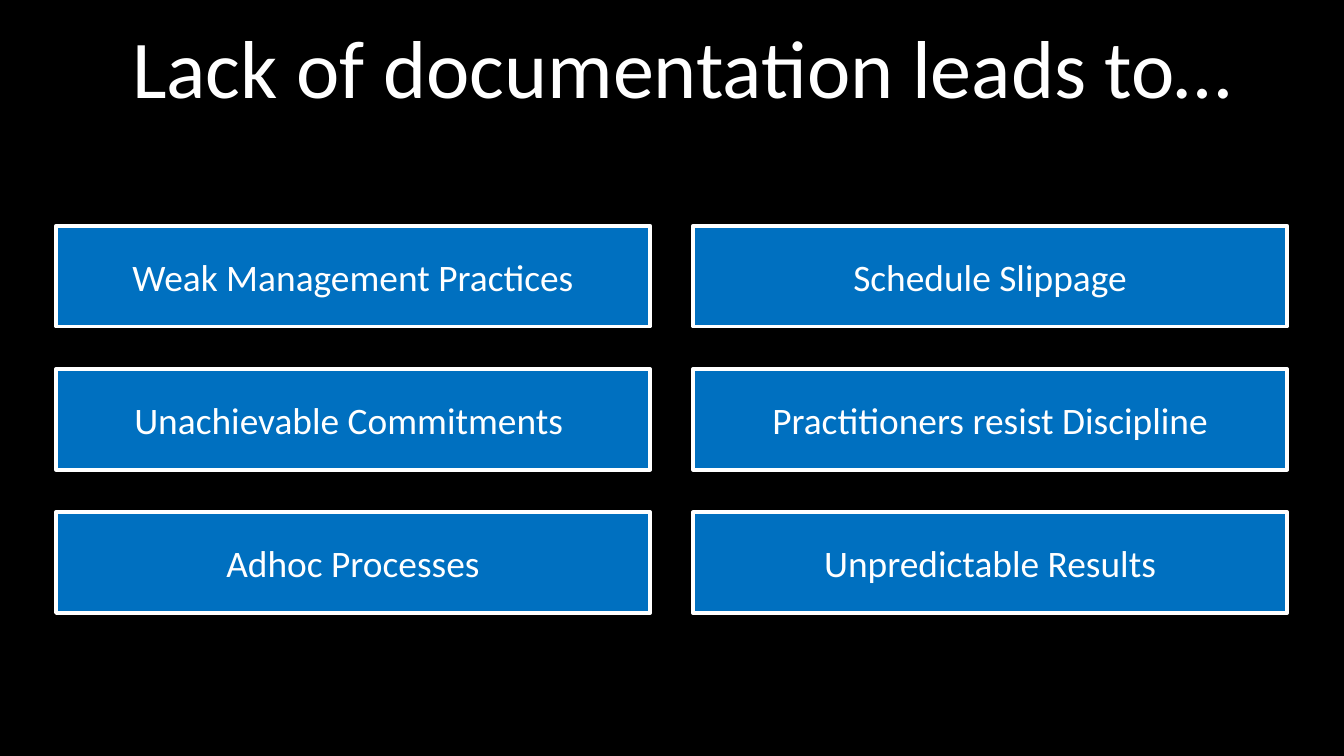
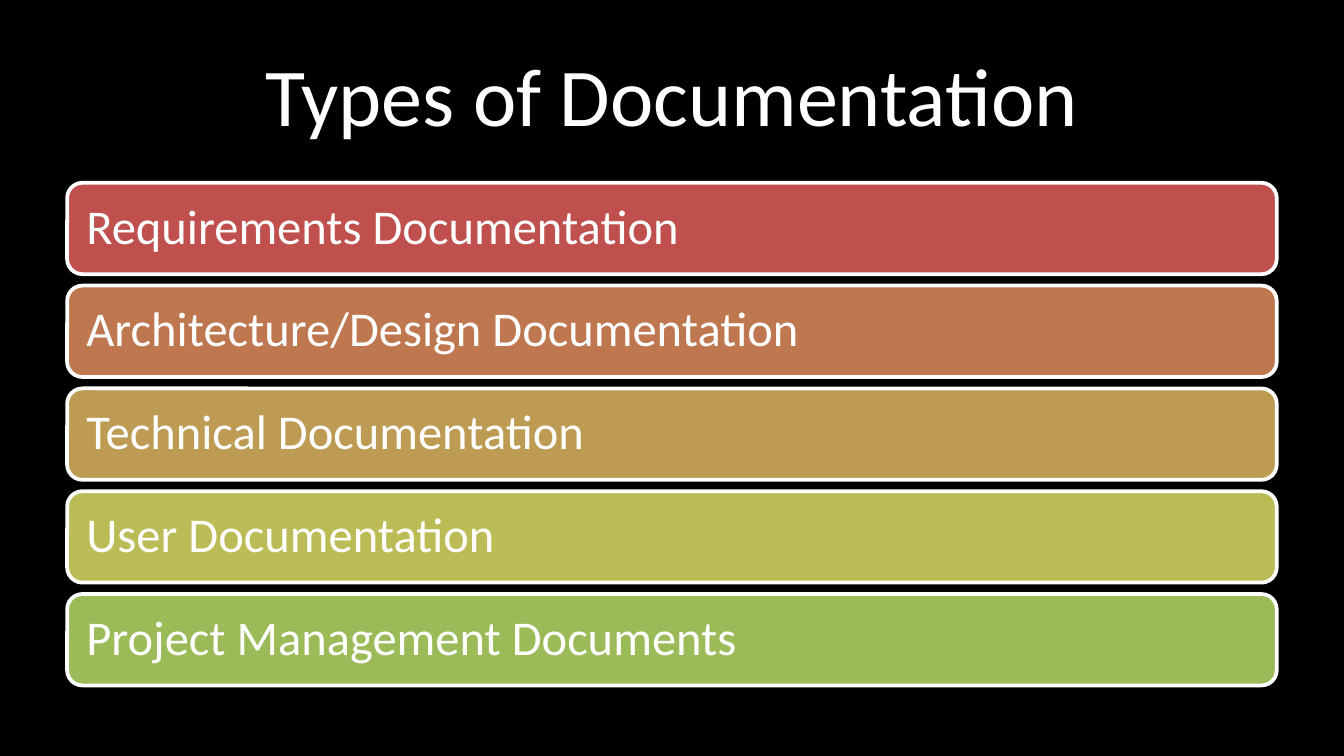
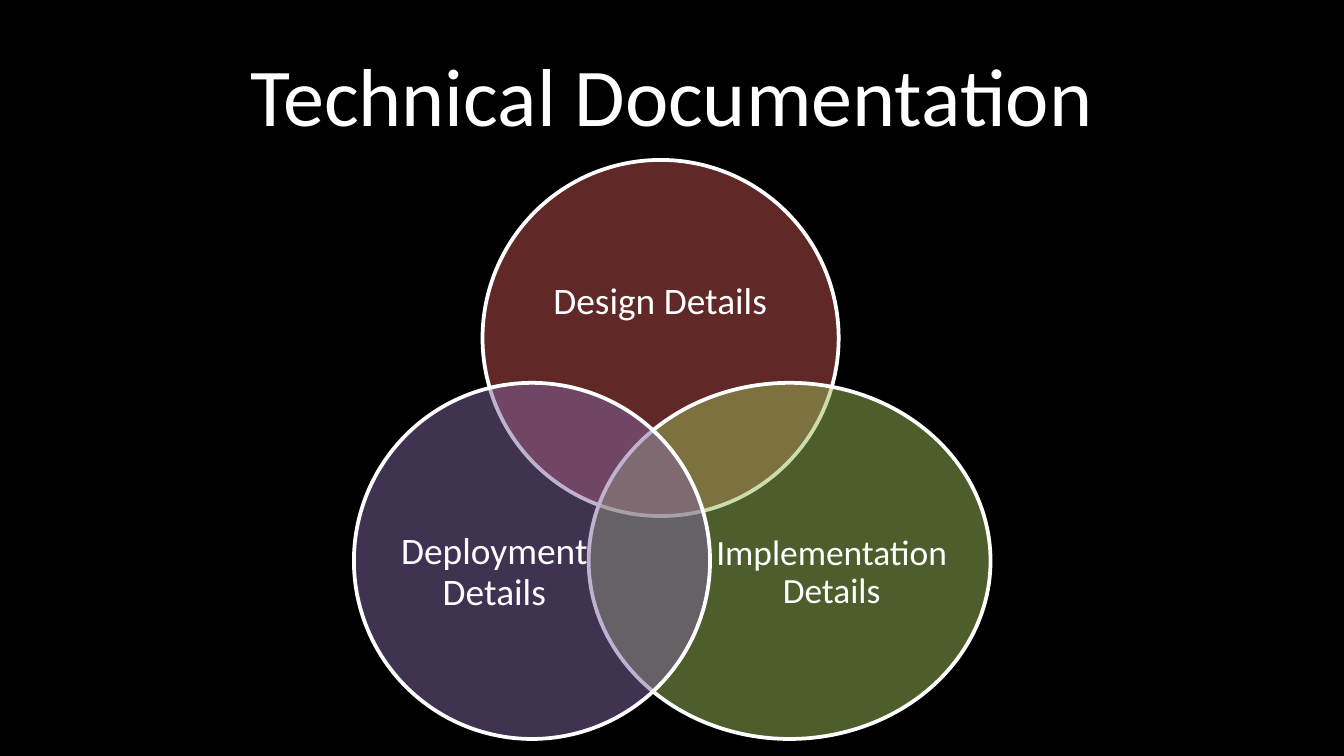
from dataclasses import dataclass

from lxml.etree import SubElement
from pptx import Presentation
from pptx.dml.color import RGBColor
from pptx.enum.shapes import MSO_SHAPE as Kind
from pptx.enum.text import MSO_ANCHOR as Anchor, PP_ALIGN as Align
from pptx.oxml.ns import qn
from pptx.util import Inches, Pt

BLACK = RGBColor(0x00, 0x00, 0x00)
WHITE = RGBColor(0xFF, 0xFF, 0xFF)
BLUE = RGBColor(0x00, 0x70, 0xC0)
RED = RGBColor(0xC0, 0x50, 0x4D)
RUST = RGBColor(0xBF, 0x77, 0x50)
SAND = RGBColor(0xBD, 0x9B, 0x53)
LIME = RGBColor(0xBC, 0xBC, 0x56)
GREEN = RGBColor(0x9B, 0xBB, 0x59)
PURPLE = RGBColor(0x80, 0x64, 0xA2)

FONT = "Calibri"
WIDE = Inches(10)
HIGH = WIDE * 9 // 16


@dataclass(frozen=True)
class Area:
    """A rectangle in percent of the slide's width and height."""
    left: float
    top: float
    width: float
    height: float

    def place(self) -> tuple[int, int, int, int]:
        return (round(WIDE * self.left / 100), round(HIGH * self.top / 100),
                round(WIDE * self.width / 100), round(HIGH * self.height / 100))

    def step(self, col: int, row: int, across: float, down: float) -> "Area":
        return Area(self.left + col * across, self.top + row * down,
                    self.width, self.height)

    def shrink(self, x: float, y: float) -> "Area":
        return Area(self.left + x, self.top + y,
                    self.width - 2 * x, self.height - 2 * y)


@dataclass(frozen=True)
class Style:
    size: int
    align: Align = Align.CENTER
    pad: float | None = None
    spacing: float | None = None


@dataclass(frozen=True)
class Circle:
    area: Area
    color: RGBColor
    label: str
    spot: Area
    size: int


TITLE = Area(5, 4.09, 90, 16.71)
HEAD = Style(44)
CARD = Area(4.17, 29.85, 44.2, 13.33)
BAR = Area(5, 24.18, 90, 12.09)

CARDS = (
    ("Weak Management Practices", "Unachievable Commitments ",
     "Adhoc Processes"),
    ("Schedule Slippage", "Practitioners resist Discipline",
     "Unpredictable Results"),
)
BARS = (
    ("Requirements Documentation", RED),
    ("Architecture/Design Documentation", RUST),
    ("Technical Documentation", SAND),
    ("User Documentation", LIME),
    ("Project Management Documents", GREEN),
)
CIRCLES = (
    Circle(Area(35.9, 21.16, 26.5, 47.11), RED, "Design Details",
           Area(39.43, 29.36, 19.4, 21.16), 20),
    Circle(Area(43.8, 50.64, 29.9, 47.11), GREEN, "Implementation Details",
           Area(52.93, 62.8, 17.9, 25.96), 19),
    Circle(Area(26.33, 50.64, 26.5, 47.11), PURPLE, "Deployment Details",
           Area(28.83, 62.8, 15.9, 25.96), 20),
)


def write(shape, text: str, style: Style) -> None:
    frame = shape.text_frame
    look = {"word_wrap": True, "vertical_anchor": Anchor.MIDDLE}
    if style.pad is not None:
        for side in ("left", "top", "right", "bottom"):
            look[f"margin_{side}"] = Inches(style.pad)
    for name, value in look.items():
        setattr(frame, name, value)
    para = frame.paragraphs[0]
    para.alignment = style.align
    if style.spacing:
        para.line_spacing = style.spacing
    run = para.add_run()
    run.text = text
    for name, value in {"name": FONT, "size": Pt(style.size)}.items():
        setattr(run.font, name, value)
    run.font.color.rgb = WHITE


def add_text(slide, area: Area, text: str, style: Style) -> None:
    write(slide.shapes.add_textbox(*area.place()), text, style)


def add_panel(slide, kind: Kind, area: Area, color: RGBColor,
              alpha: int = 100):
    """Add a filled, white-edged shape; alpha is its opacity in percent."""
    panel = slide.shapes.add_shape(kind, *area.place())
    panel.shadow.inherit = False
    panel.fill.solid()
    panel.fill.fore_color.rgb = color
    panel.line.color.rgb = WHITE
    panel.line.width = Pt(2)
    if alpha < 100:
        tint = panel.fill._xPr.find(qn("a:solidFill"))[0]
        SubElement(tint, qn("a:alpha")).set("val", str(alpha * 1000))
    return panel


def add_slide(deck, title: str, area: Area = TITLE):
    slide = deck.slides.add_slide(deck.slide_layouts[6])
    slide.background.fill.solid()
    slide.background.fill.fore_color.rgb = BLACK
    add_text(slide, area, title, HEAD)
    return slide


def draw_effects(deck) -> None:
    slide = add_slide(deck, "Lack of documentation leads to…",
                      Area(5.8, 0.36, 90, 16.71))
    for col, names in enumerate(CARDS):
        for row, name in enumerate(names):
            area = CARD.step(col, row, 47.4, 18.95)
            write(add_panel(slide, Kind.RECTANGLE, area, BLUE),
                  name, Style(20))


def draw_types(deck) -> None:
    slide = add_slide(deck, "Types of Documentation")
    style = Style(26, Align.LEFT, pad=0.11, spacing=0.9)
    for row, (name, color) in enumerate(BARS):
        area = BAR.step(0, row, 0, 13.6)
        add_panel(slide, Kind.ROUNDED_RECTANGLE, area, color)
        add_text(slide, area.shrink(0.33, 0.6), name, style)


def draw_venn(deck) -> None:
    slide = add_slide(deck, "Technical Documentation")
    for item in CIRCLES:
        add_panel(slide, Kind.OVAL, item.area, item.color, alpha=50)
        add_text(slide, item.spot, item.label,
                 Style(item.size, pad=0, spacing=0.9))


def main() -> None:
    deck = Presentation()
    deck.slide_width, deck.slide_height = WIDE, HIGH
    for draw in (draw_effects, draw_types, draw_venn):
        draw(deck)
    deck.save("out.pptx")


if __name__ == "__main__":
    main()
